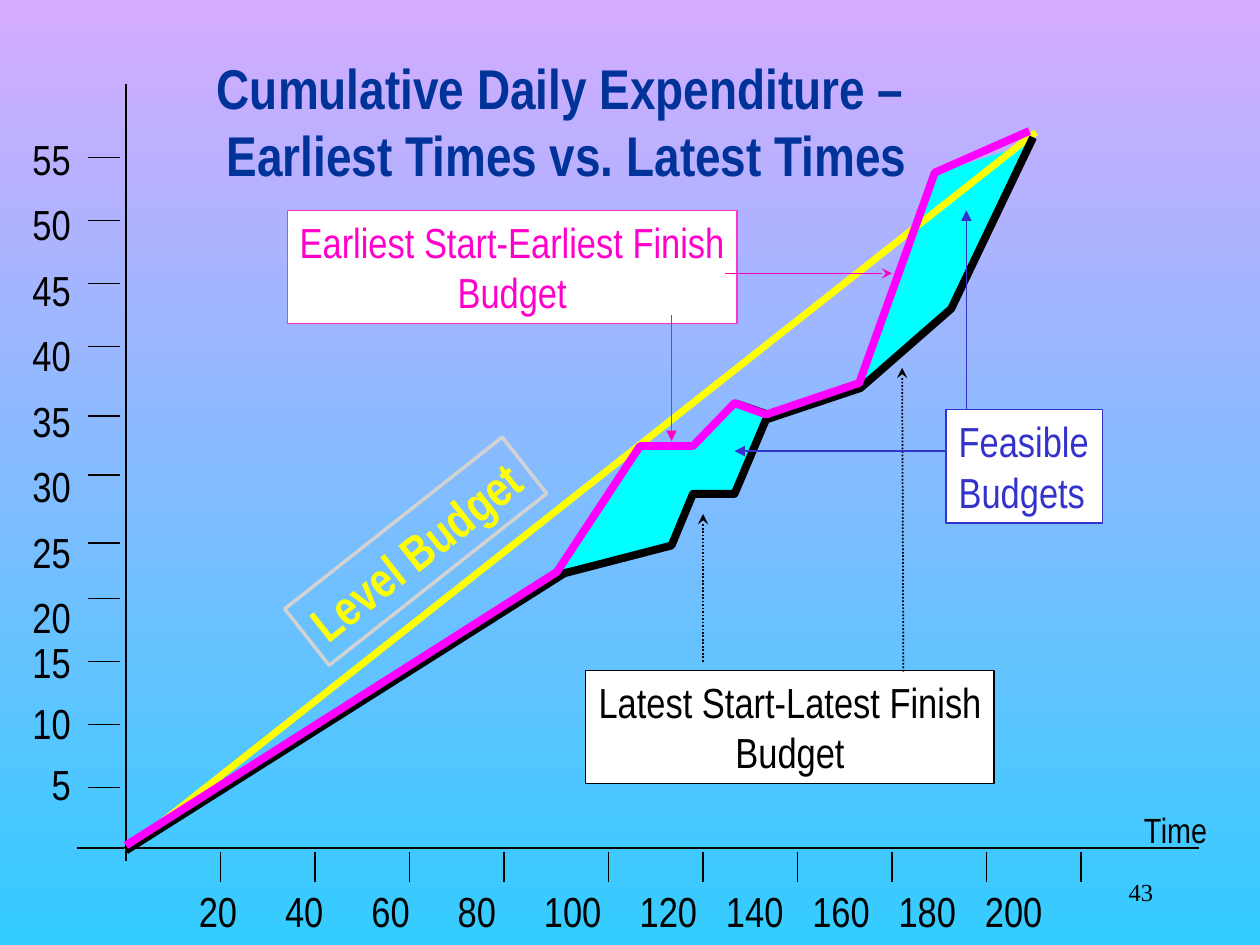
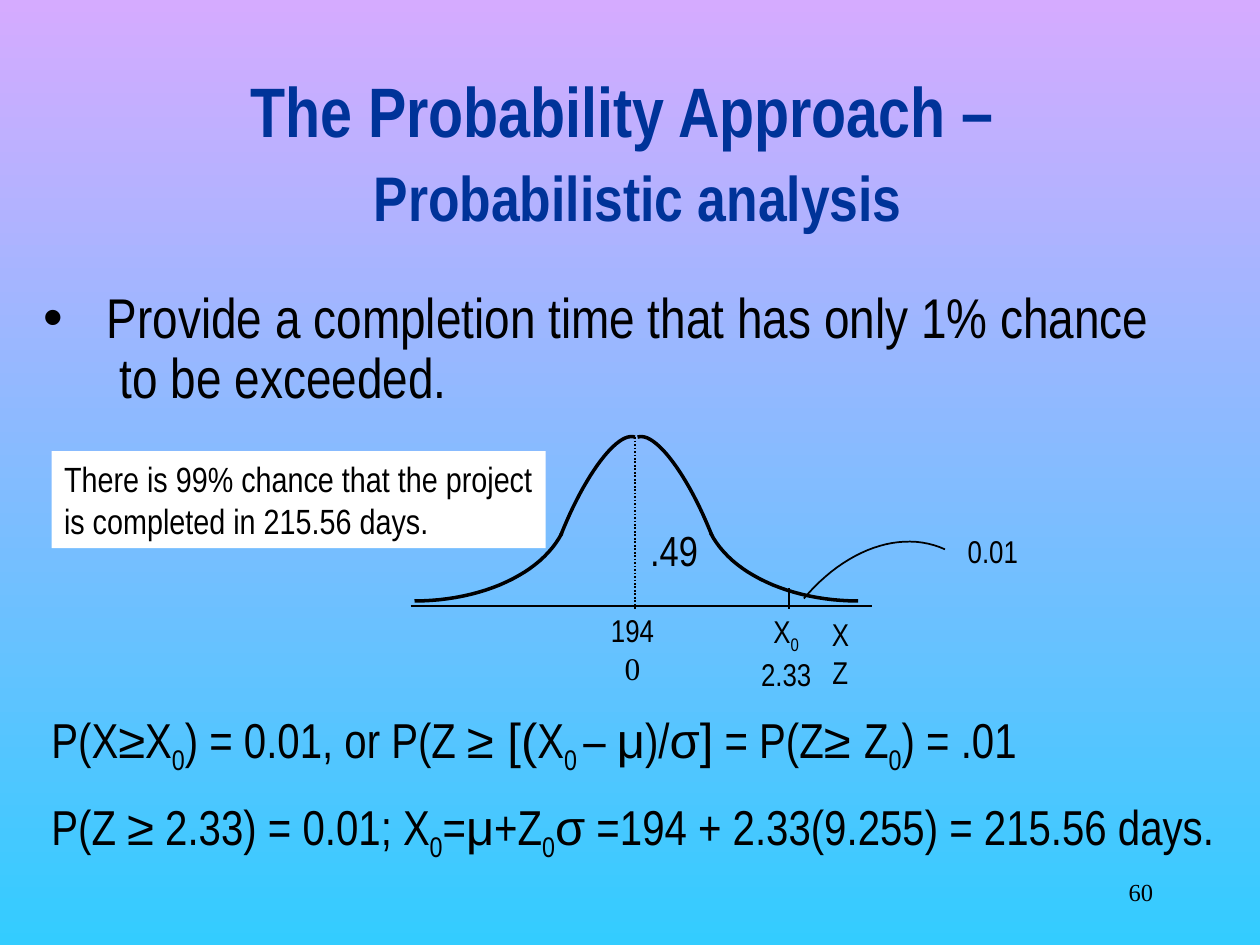
from dataclasses import dataclass, replace
from lxml.etree import SubElement
from pptx import Presentation
from pptx.dml.color import RGBColor
from pptx.enum.dml import MSO_LINE
from pptx.enum.shapes import MSO_CONNECTOR, MSO_SHAPE
from pptx.enum.text import MSO_ANCHOR, PP_ALIGN
from pptx.oxml.ns import qn
from pptx.util import Emu, Inches, Pt

COLUMNS, ROWS = 10, 7.5
CELL = Inches(1)


@dataclass(frozen=True)
class Theme:
    sky: str = "D5ABFF"
    sea: str = "33CCFF"
    title: str = "003399"
    ink: str = "000000"
    paper: str = "FFFFFF"
    earliest: str = "FF00FF"
    earliest_note: str = "FF00CC"
    earliest_frame: str = "FF33CC"
    feasible: str = "00FFFF"
    feasible_note: str = "3333CC"
    level: str = "FFFF00"
    level_frame: str = "D2D2D2"
    narrow: str = "Arial Narrow"
    symbol: str = "Arial"
    serif: str = "Times New Roman"
    number: int = 14
    small: int = 18
    note: int = 20
    label: int = 24
    formula: int = 28
    body: int = 32
    subtitle: int = 36
    heading: int = 40


THEME = Theme()


@dataclass(frozen=True)
class Look:
    size: int = THEME.label
    color: str = THEME.ink
    font: str = THEME.narrow
    bold: bool = False
    align: PP_ALIGN = PP_ALIGN.LEFT
    subscript: bool = False


LABEL = Look()
CENTRED = Look(align=PP_ALIGN.CENTER)
SMALL = replace(CENTRED, size=THEME.small)
NUMBER = Look(THEME.number, font=THEME.serif, align=PP_ALIGN.RIGHT)
TITLE = Look(THEME.body, THEME.title, bold=True, align=PP_ALIGN.CENTER)
FORMULA = Look(THEME.formula)


def cells(count):
    return Emu(round(count * CELL))


def rgb(color):
    return RGBColor.from_string(color)


def add_span(para, text, look):
    for index, line in enumerate(text.split("\n")):
        if index:
            para.add_line_break()
        if not line:
            continue
        span = para.add_run()
        span.text = line
        span.font.size = Pt(look.size)
        span.font.name = look.font
        span.font.bold = look.bold
        span.font.color.rgb = rgb(look.color)
        if look.subscript:
            span._r.get_or_add_rPr().set("baseline", "-25000")


def write(box, lines, look, wrap=False, anchor=MSO_ANCHOR.TOP, spacing=()):
    frame = box.text_frame
    frame.word_wrap = wrap
    frame.vertical_anchor = anchor
    for index, line in enumerate(lines):
        para = frame.paragraphs[0] if index == 0 else frame.add_paragraph()
        para.alignment = look.align
        if spacing:
            para.line_spacing = spacing[index]
        spans = [(line, look)] if isinstance(line, str) else line
        for text, span_look in spans:
            add_span(para, text, span_look)


def add_text(page, place, lines, look=LABEL, **layout):
    box = page.shapes.add_textbox(*map(cells, place))
    write(box, lines, look, **layout)
    return box


def paint(shape, fill=None, line=None, width=1):
    shape.shadow.inherit = False
    if fill:
        shape.fill.solid()
        shape.fill.fore_color.rgb = rgb(fill)
    else:
        shape.fill.background()
    if line:
        shape.line.color.rgb = rgb(line)
        shape.line.width = Pt(width)
    else:
        shape.line.fill.background()


def add_note(page, place, lines, look, fill=THEME.paper, line=None, width=0.75, turn=0):
    box = page.shapes.add_shape(MSO_SHAPE.RECTANGLE, *map(cells, place))
    paint(box, fill, line, width)
    box.rotation = turn
    write(box, lines, look)


def add_line(page, start, end, color=THEME.ink, width=1, head=None, dotted=False):
    line = page.shapes.add_connector(MSO_CONNECTOR.STRAIGHT, *map(cells, start + end))
    line.line.color.rgb = rgb(color)
    line.line.width = Pt(width)
    if dotted:
        line.line.dash_style = MSO_LINE.ROUND_DOT
    if head:
        SubElement(line.line._get_or_add_ln(), qn("a:tailEnd"), type=head)
    SubElement(line._element.spPr, qn("a:effectLst"))


def add_outline(page, points, fill=None, line=None, width=1):
    start, *rest = [tuple(map(cells, point)) for point in points]
    builder = page.shapes.build_freeform(*start)
    builder.add_line_segments(rest, close=bool(fill))
    paint(builder.convert_to_shape(), fill, line, width)


def bezier(points, steps=24):
    def blend(t, values):
        a, b, c, d = values
        s = 1 - t
        return s**3 * a + 3 * s * s * t * b + 3 * s * t * t * c + t**3 * d

    return [tuple(blend(i / steps, axis) for axis in zip(*points)) for i in range(steps + 1)]


def add_page(deck, number):
    page = deck.slides.add_slide(deck.slide_layouts[6])
    add_text(page, (7.17, 6.83, 2.08, 0.5), [number], NUMBER, anchor=MSO_ANCHOR.MIDDLE)
    return page


def add_title(page, place, spans):
    add_text(page, place, [spans], TITLE, wrap=True, anchor=MSO_ANCHOR.MIDDLE)


def add_axes(page):
    add_line(page, (1, 0.67), (1, 6.83))
    add_line(page, (0.61, 6.73), (9.52, 6.73))
    nudges = {4: 0.06, 5: 0.02, 6: 0.05}
    for index in range(11):
        row = 6.25 - 0.5 * index + nudges.get(index, 0)
        add_line(page, (0.7, row), (0.95, row))
    for index in range(10):
        column = 1.75 + 0.75 * index + (0.08 if index > 3 else 0)
        add_line(page, (column, 6.76), (column, 7))

    amounts = [str(amount) for amount in range(55, 0, -5)]
    add_text(page, (0.15, 0.89, 0.51, 5.58), amounts, replace(LABEL, align=PP_ALIGN.RIGHT),
             spacing=[1.3] * 8 + [0.9, 1.2, 1.2])

    days = "".join(f"\t{day}" for day in range(20, 201, 20))
    box = add_text(page, (1, 6.98, 7.4, 0.5), [days], wrap=True)
    box.text_frame.margin_left = 0
    stops = SubElement(box.text_frame.paragraphs[0]._p.get_or_add_pPr(), qn("a:tabLst"))
    for index in range(10):
        wide_gaps = min(max(index - 3, 0), 2)
        position = cells(0.73 + 0.685 * index + 0.075 * wide_gaps)
        SubElement(stops, qn("a:tab"), pos=str(position), algn="ctr")
    add_text(page, (8.98, 6.37, 0.71, 0.43), ["Time"], Look(THEME.note))


def build_budget_page(deck):
    page = add_page(deck, "43")
    add_title(page, (0.75, 0.33, 7.5, 1.25),
              [("Cumulative Daily Expenditure – \nEarliest Times vs. Latest Times", TITLE)])
    add_outline(page, [(4.45, 4.53), (5.06, 3.54), (5.52, 3.52), (5.85, 3.18), (6.11, 3.27),
                       (5.85, 3.9), (5.5, 3.9), (5.32, 4.35)], THEME.feasible, THEME.ink)
    add_outline(page, [(6.83, 3.06), (7.42, 1.38), (8.17, 1.14), (7.5, 2.5)], THEME.feasible)
    add_axes(page)

    add_line(page, (1, 6.75), (8.22, 1.05), THEME.level, 4)
    add_note(page, (2.2, 4.09, 2.2, 0.57), ["Level Budget"],
             Look(THEME.formula, THEME.level, bold=True),
             fill=None, line=THEME.level_frame, width=2, turn=321.7)

    add_note(page, (2.28, 1.67, 3.57, 0.9), ["Earliest Start-Earliest Finish", "Budget"],
             replace(CENTRED, color=THEME.earliest_note), line=THEME.earliest_frame)
    add_line(page, (5.75, 2.17), (7.08, 2.17), THEME.earliest_note, 0.75, "stealth")
    add_line(page, (5.33, 2.5), (5.33, 3.5), THEME.earliest_note, 0.75, "triangle")

    add_note(page, (4.65, 5.32, 3.24, 0.9), ["Latest Start-Latest Finish", "Budget"],
             CENTRED, line=THEME.ink)
    add_line(page, (5.58, 5.25), (5.58, 4.08), head="stealth", dotted=True)
    add_line(page, (7.17, 5.33), (7.16, 2.92), head="stealth", dotted=True)

    add_note(page, (7.51, 3.25, 1.24, 0.9), ["Feasible", "Budgets"],
             Look(color=THEME.feasible_note), line=THEME.feasible_note, width=1)

    latest = [(1, 6.75), (4.48, 4.55), (5.33, 4.33), (5.5, 3.92), (5.83, 3.92),
              (6.08, 3.33), (6.83, 3.08), (7.55, 2.45), (8.2, 1.09)]
    earliest = [(1, 6.71), (4.42, 4.54), (5.08, 3.54), (5.5, 3.54), (5.83, 3.2),
                (6.08, 3.29), (6.82, 3.04), (7.42, 1.37), (8.17, 1.04)]
    add_outline(page, latest, line=THEME.ink, width=4.5)
    add_outline(page, earliest, line=THEME.earliest, width=4.5)
    for start, end in [((7.67, 3.25), (7.67, 1.67)), ((7.5, 3.58), (5.83, 3.58))]:
        add_line(page, start, end, THEME.feasible_note, head="triangle")


def add_bell_curve(page):
    tail = [(3.29, 4.77), (3.83, 4.77), (4.3, 4.55), (4.46, 4.23)]
    crown = [(4.45, 4.25), (4.64, 3.77), (4.9, 3.42), (5.04, 3.47)]
    for half in (tail, crown):
        mirrored = [(10.1 - column, row) for column, row in half]
        for points in (half, mirrored):
            add_outline(page, bezier(points), line=THEME.ink, width=2)
    add_line(page, (3.26, 4.81), (6.92, 4.81))
    add_line(page, (5.04, 3.47), (5.04, 4.83), dotted=True)
    add_line(page, (6.26, 4.67), (6.26, 4.83))
    callout = [(6.38, 4.75), (6.71, 4.36), (7.15, 4.2), (7.5, 4.36)]
    add_outline(page, bezier(callout), line=THEME.ink)

    add_text(page, (6.5, 4.83, 0.34, 0.7), ["X", "Z"], SMALL)
    add_text(page, (4.75, 4.8, 0.54, 0.7),
             ["194", [("0", replace(SMALL, font=THEME.serif))]], SMALL)
    add_text(page, (5.94, 4.81, 0.6, 0.74),
             [[("X", SMALL), ("0", replace(SMALL, subscript=True))], "2.33"], SMALL)
    add_text(page, (7.58, 4.17, 0.6, 0.4), ["0.01"], SMALL)
    add_text(page, (5.06, 4.11, 0.58, 0.5), [".49"], CENTRED)


def add_bullet(page, place, text):
    box = add_text(page, place, [], wrap=True)
    para = box.text_frame.paragraphs[0]
    para.line_spacing = 0.9
    settings = para._p.get_or_add_pPr()
    settings.set("marL", str(cells(0.5)))
    settings.set("indent", str(-cells(0.5)))
    SubElement(settings, qn("a:buFont"), typeface=THEME.symbol)
    SubElement(settings, qn("a:buChar"), char="•")
    add_span(para, text, Look(THEME.body))


def add_formulas(page):
    sign = replace(FORMULA, font=THEME.symbol)
    below = replace(FORMULA, subscript=True)
    exceeded = [("P(X", FORMULA), ("≥", sign), ("X", FORMULA), ("0", below),
                (") = 0.01, or P(Z ", FORMULA), ("≥ [(", sign), ("X", FORMULA), ("0 ", below),
                ("– ", FORMULA), ("μ", sign), (")/", FORMULA), ("σ]", sign),
                (" = P(Z", FORMULA), ("≥ ", sign), ("Z", FORMULA), ("0", below),
                (") = .01", FORMULA)]
    solved = [("P(Z ", FORMULA), ("≥", sign), (" 2.33) = 0.01; X", FORMULA), ("0", below),
              ("=", FORMULA), ("μ", sign), ("+Z", FORMULA), ("0", below), ("σ", sign),
              (" =194 + 2.33(9.255) = 215.56 days.", FORMULA)]
    add_text(page, (0.31, 5.58, 9.51, 1.32), [exceeded, solved], FORMULA, spacing=[1.0, 1.3])


def build_probability_page(deck):
    page = add_page(deck, "60")
    add_title(page, (0.75, 0.58, 8.5, 1.25),
              [("The Probability Approach – \n ", replace(TITLE, size=THEME.heading)),
               ("Probabilistic analysis", replace(TITLE, size=THEME.subtitle))])
    add_bullet(page, (0.25, 2.25, 9.18, 1.06),
               "Provide a completion time that has only 1% chance \n to be exceeded.")
    add_bell_curve(page)
    add_formulas(page)
    add_note(page, (0.41, 3.58, 3.92, 0.77),
             ["There is 99% chance that the project", "is completed in 215.56 days."],
             Look(THEME.note))


def set_background(deck):
    fill = deck.slide_master.background.fill
    fill.gradient()
    fill.gradient_angle = 270
    for stop, position, color in zip(fill.gradient_stops, (0, 1), (THEME.sky, THEME.sea)):
        stop.position = position
        stop.color.rgb = rgb(color)


def main():
    deck = Presentation()
    deck.slide_width = cells(COLUMNS)
    deck.slide_height = cells(ROWS)
    set_background(deck)
    build_budget_page(deck)
    build_probability_page(deck)
    deck.save("out.pptx")


if __name__ == "__main__":
    main()
